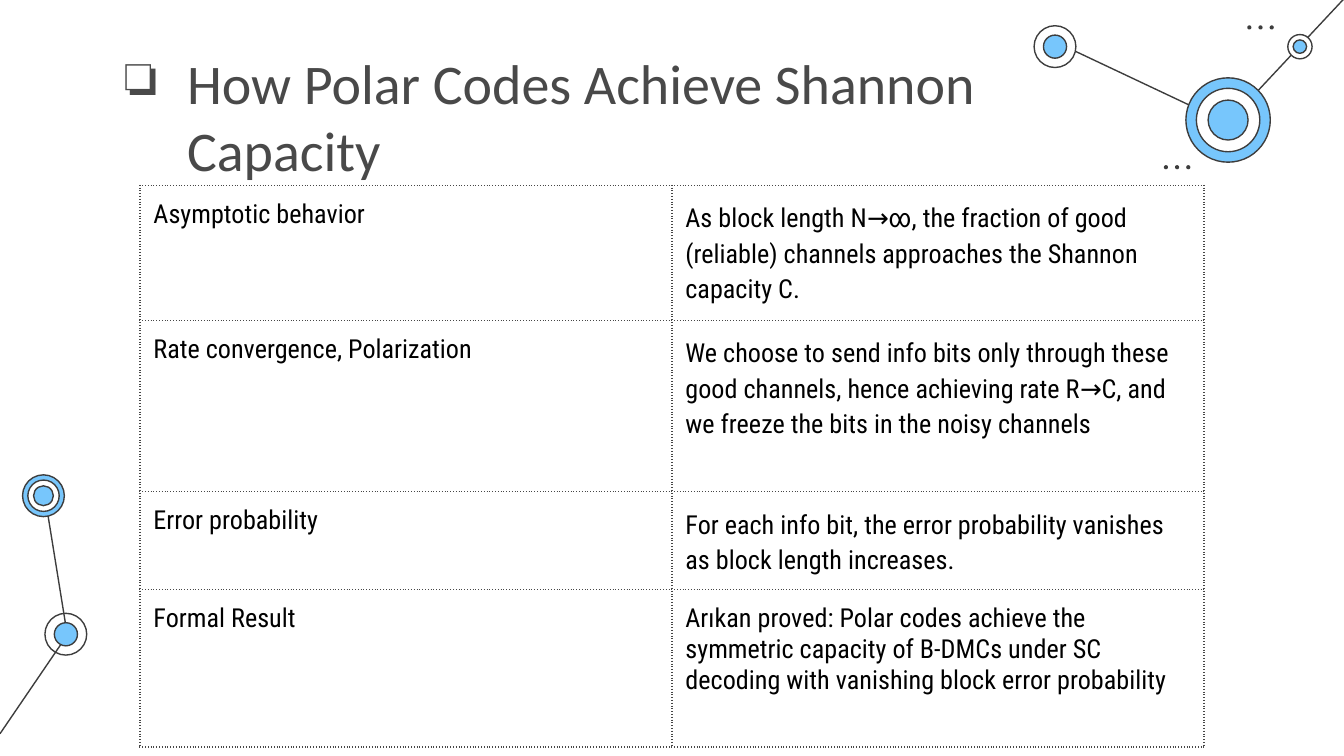
"""Build a slide on how polar codes achieve Shannon capacity."""
from lxml.etree import SubElement
from pptx import Presentation
from pptx.dml.color import RGBColor
from pptx.enum.shapes import MSO_CONNECTOR, MSO_SHAPE
from pptx.enum.text import MSO_ANCHOR, MSO_AUTO_SIZE, PP_ALIGN
from pptx.oxml.ns import qn
from pptx.util import Pt

COLORS = {"ink": "3D3D3D", "title": "494949", "grid": "474747",
          "blue": "77C6FC", "white": "FFFFFF", "text": "000000"}
LINKS = [(36, 339.8, 23.8, 264.2), (0, 393.1, 35.3, 341.3),
         (658.1, 66.2, 566.6, 23), (720, -0.7, 658.1, 65.5)]
NODES = [
    (35.3, 339.8, [(11.2, None), (6.2, "blue")]),
    (23.3, 265.6, [(11.2, "blue"), (8.4, "white"), (5.3, "blue")]),
    (657.9, 64.3, [(22.6, "blue"), (17, "white"), (10.7, "blue")]),
    (565.2, 25, [(11.2, "white"), (6.2, "blue")]),
    (696.4, 25, [(6.5, "white"), (3.6, "blue")]),
]
DOTS = [(669.3, 14.7), (624.6, 89.6)]
ROWS = [
    (72.3, "Asymptotic behavior", 1.15,
     "As block length N→∞, the fraction of good (reliable) channels "
     "approaches the Shannon capacity C."),
    (91.9, "Rate convergence, Polarization", 1.15,
     "We choose to send info bits only through these good channels, hence "
     "achieving rate R→C, and we freeze the bits in the noisy channels"),
    (52.2, "Error probability", 1.15,
     "For each info bit, the error probability vanishes as block length "
     "increases."),
    (84.2, "Formal Result", None,
     "Arıkan proved: Polar codes achieve the symmetric capacity of B-DMCs "
     "under SC decoding with vanishing block error probability"),
]


def rgb(name):
    return RGBColor.from_string(COLORS[name])


class Deck:
    """Hold the style and the current slide."""

    head, body = "Calibri", "Roboto Condensed"
    line, pad = Pt(0.75), Pt(7.2)

    def __init__(self):
        self.prs = Presentation()
        self.prs.slide_width, self.prs.slide_height = Pt(720), Pt(405)
        self.slide = self.prs.slides.add_slide(self.prs.slide_layouts[5])
        self.shapes = self.slide.shapes

    def inset(self, box):
        box.margin_left = box.margin_right = self.pad
        box.margin_top = box.margin_bottom = self.pad
        box.vertical_anchor = MSO_ANCHOR.TOP

    def run(self, para, text, font, size, color):
        run = para.add_run()
        run.text = text
        run.font.name, run.font.size = font, Pt(size)
        run.font.color.rgb = rgb(color)

    def title(self, text, x, y, w, h):
        box = self.shapes.title
        box.left, box.top, box.width, box.height = map(Pt, (x, y, w, h))
        frame = box.text_frame
        self.inset(frame)
        frame.word_wrap, frame.auto_size = True, MSO_AUTO_SIZE.NONE
        para = frame.paragraphs[0]
        para.alignment = PP_ALIGN.LEFT
        props = para._p.get_or_add_pPr()
        props.set("marL", str(Pt(36)))
        props.set("indent", str(Pt(-33)))
        tint = SubElement(props, qn("a:buClr"))
        SubElement(tint, qn("a:srgbClr"), val=COLORS["title"])
        SubElement(props, qn("a:buChar"), char="❏")
        self.run(para, text, self.head, 30, "title")

    def link(self, *ends):
        link = self.shapes.add_connector(MSO_CONNECTOR.STRAIGHT, *map(Pt, ends))
        link.line.width, link.line.color.rgb = self.line, rgb("ink")
        SubElement(link._element.spPr, qn("a:effectLst"))

    def disc(self, x, y, r, fill, edge=True):
        disc = self.shapes.add_shape(
            MSO_SHAPE.OVAL, Pt(x - r), Pt(y - r), Pt(2 * r), Pt(2 * r))
        disc.shadow.inherit = False
        if fill:
            disc.fill.solid()
            disc.fill.fore_color.rgb = rgb(fill)
        else:
            disc.fill.background()
        if edge:
            disc.line.width, disc.line.color.rgb = self.line, rgb("ink")
        else:
            disc.line.fill.background()

    def node(self, x, y, rings):
        for r, fill in rings:
            self.disc(x, y, r, fill)

    def dots(self, x, y):
        for i in range(3):
            self.disc(x + 6 * i, y, 1.1, "ink", edge=False)

    def cell(self, cell, text, space=None):
        self.inset(cell)
        props = cell._tc.get_or_add_tcPr()
        for side in "LRTB":
            edge = SubElement(props, qn(f"a:ln{side}"), w=str(self.line))
            fill = SubElement(edge, qn("a:solidFill"))
            SubElement(fill, qn("a:srgbClr"), val=COLORS["grid"])
            SubElement(edge, qn("a:prstDash"), val="dot")
        cell.fill.background()
        para = cell.text_frame.paragraphs[0]
        if space:
            para.line_spacing = space
        self.run(para, text, self.body, 14, "text")

    def table(self, rows, x, y, w):
        high = sum(row[0] for row in rows)
        table = self.shapes.add_table(
            len(rows), 2, Pt(x), Pt(y), Pt(w), Pt(high)).table
        table.first_row = table.horz_banding = False
        for i, (h, label, space, text) in enumerate(rows):
            table.rows[i].height = Pt(h)
            self.cell(table.cell(i, 0), label)
            self.cell(table.cell(i, 1), text, space)


def main():
    deck = Deck()
    for ends in LINKS:
        deck.link(*ends)
    for node in NODES:
        deck.node(*node)
    for spot in DOTS:
        deck.dots(*spot)
    deck.title("How Polar Codes Achieve Shannon Capacity", 57, 18.7, 489, 57)
    deck.table(ROWS, 75, 99.3, 570)
    deck.prs.save("out.pptx")


if __name__ == "__main__":
    main()
